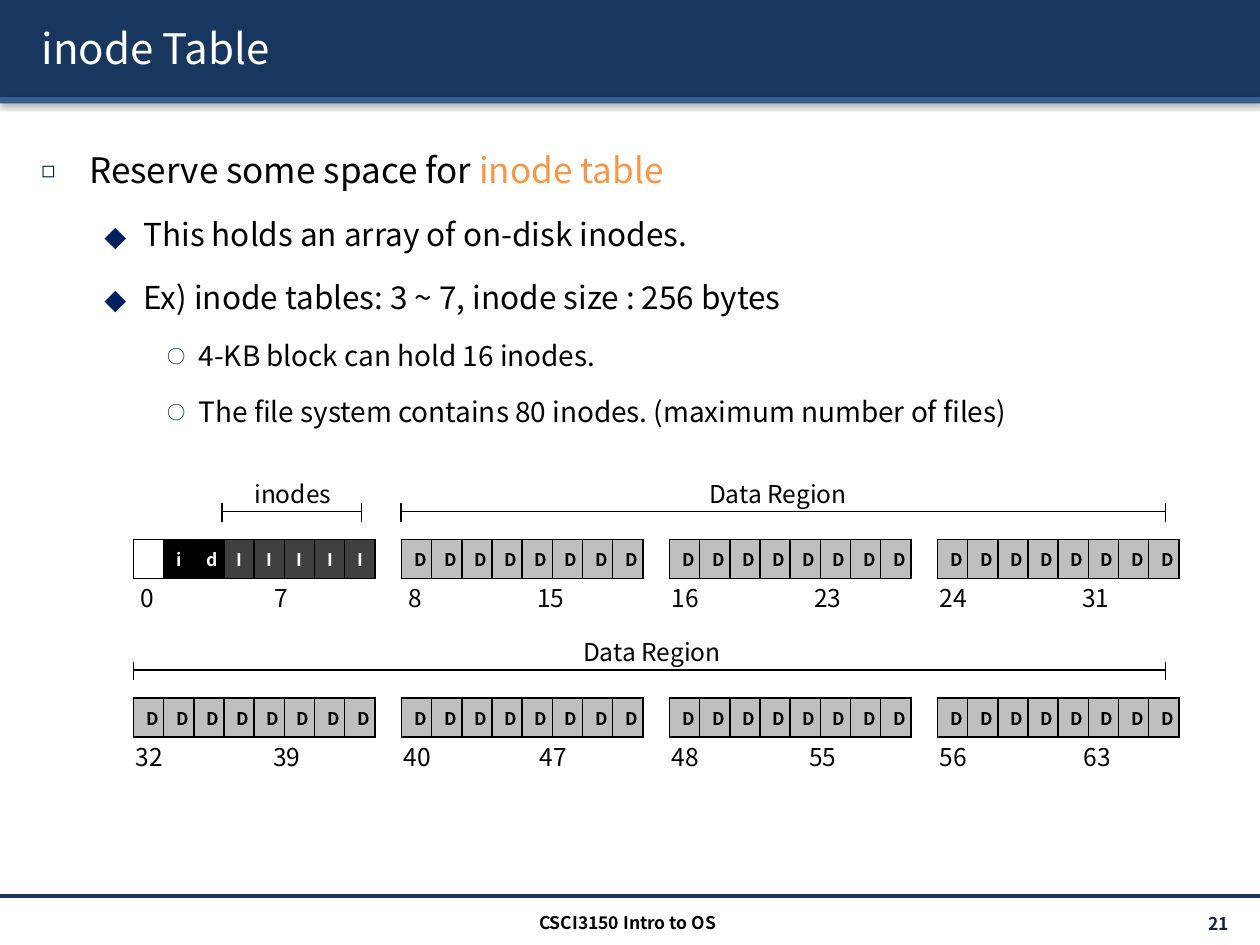
from lxml import etree
from pptx import Presentation
from pptx.dml.color import RGBColor
from pptx.enum.shapes import MSO_CONNECTOR, MSO_SHAPE
from pptx.enum.text import MSO_ANCHOR, PP_ALIGN
from pptx.oxml import parse_xml
from pptx.oxml.ns import nsdecls, qn
from pptx.util import Inches, Pt

LEFT, CENTER, RIGHT = PP_ALIGN.LEFT, PP_ALIGN.CENTER, PP_ALIGN.RIGHT
MIDDLE = MSO_ANCHOR.MIDDLE
RECTANGLE = MSO_SHAPE.RECTANGLE
STRAIGHT = MSO_CONNECTOR.STRAIGHT

THEME = {
    "font": "Noto Sans CJK KR",
    "navy": "17375E", "blue": "376092", "bullet": "002060", "number": "0F243E",
    "black": "000000", "white": "FFFFFF", "orange": "F79646",
    "inode": "404040", "data": "BFBFBF",
    "title": 24, "levels": (20, 18, 16), "label": 14, "small": 10,
}
SHADOW = (
    f'<a:effectLst {nsdecls("a")}><a:outerShdw blurRad="39370" dist="20320" dir="5400000" '
    'rotWithShape="0"><a:srgbClr val="000000"><a:alpha val="{alpha}"/></a:srgbClr>'
    '</a:outerShdw></a:effectLst>'
)

deck = Presentation()
deck.slide_width, deck.slide_height = Inches(10), Inches(7.5)
COLUMN, ROW = deck.slide_width / 100, deck.slide_height / 75
page = deck.slides.add_slide(deck.slide_layouts[5])
shapes = page.shapes


def place(x, y, right, down):
    return round(x * COLUMN), round(y * ROW), round(right * COLUMN), round(down * ROW)


def write(para, text, size, color, bold=False):
    span = para.add_run()
    span.text = text
    span.font.size = Pt(size)
    span.font.bold = bold
    span.font.color.rgb = RGBColor.from_string(THEME[color])
    span.font.name = THEME["font"]
    for script in ("a:ea", "a:cs"):
        etree.SubElement(span.font._element, qn(script), typeface=THEME["font"])
    return span


for top, height, color in ((0, 7.7, "navy"), (7.7, 0.5, "blue")):
    band = shapes.add_shape(RECTANGLE, *place(0, top, 100, height))
    band.fill.solid()
    band.fill.fore_color.rgb = RGBColor.from_string(THEME[color])
    band.line.fill.background()
    band._element.spPr.append(parse_xml(SHADOW.format(alpha=38000)))

title = shapes.title
title.left, title.top, title.width, title.height = place(2.3, 0.6, 96.1, 6.4)
title.text_frame.vertical_anchor = MIDDLE
para = title.text_frame.paragraphs[0]
para.alignment = LEFT
span = write(para, "inode Table", THEME["title"], "white")
span.font._element.find(qn("a:solidFill")).addnext(parse_xml(SHADOW.format(alpha=100000)))
shapes._spTree.append(title._element)

body = shapes.add_textbox(*place(2.3, 9.6, 96.1, 60.2)).text_frame
body.word_wrap = True
bullets = (("◻", 65, 0.38, 0.38), ("⬥", 100, 0.81, 0.31), ("○", 65, 1.25, 0.25))
points = (
    (0, (("Reserve some space for ", "black"), ("inode table", "orange"))),
    (1, (("This holds an array of on-disk inodes.", "black"),)),
    (1, (("Ex) inode tables: 3 ~ 7, inode size : 256 bytes", "black"),)),
    (2, (("4-KB block can hold 16 inodes.", "black"),)),
    (2, (("The file system contains 80 inodes. (maximum number of files)", "black"),)),
)
for index, (level, parts) in enumerate(points):
    para = body.add_paragraph() if index else body.paragraphs[0]
    size = THEME["levels"][level]
    mark, scale, margin, hang = bullets[level]
    para.level = level
    para.line_spacing = 1.5
    para.space_before = Pt(0.2 * size if index else 0)
    settings = para._p.get_or_add_pPr()
    settings.set("marL", str(Inches(margin)))
    settings.set("indent", str(-Inches(hang)))
    tint = etree.SubElement(settings, qn("a:buClr"))
    etree.SubElement(tint, qn("a:srgbClr"), val=THEME["bullet"])
    etree.SubElement(settings, qn("a:buSzPct"), val=str(scale * 1000))
    etree.SubElement(settings, qn("a:buFont"), typeface=THEME["font"])
    etree.SubElement(settings, qn("a:buChar"), char=mark)
    for text, color in parts:
        write(para, text, size, color)

GROUP, BLOCKS, GROUPS = 18.2, 8, 4
GROUP_LEFT, GROUP_STEP, GROUP_HEIGHT = 10.6, 21.27, 3.1
group_rows = ((42.8, (10.6, 10.2, 11.3, 11.3)), (55.4, (10.9, 10.8, 10.9, 11.4)))
first_blocks = (
    [("", "white", "white"), ("i", "black", "white"), ("d", "black", "white")]
    + [("I", "inode", "white")] * 5
)
data_blocks = [("D", "data", "black")] * BLOCKS

captions = [
    (19.2, 37.5, 8.4, 3.4, "inodes", "label", "black", LEFT, None),
    (55.3, 37.5, 13.6, 3.4, "Data Region", "label", "black", LEFT, None),
    (45.3, 50.1, 13.6, 3.4, "Data Region", "label", "black", LEFT, None),
    (33.2, 72, 33.2, 2.4, "CSCI3150 Intro to OS", "small", "black", CENTER, None),
    (87.1, 72.1, 11.4, 2.4, "21", "small", "number", RIGHT, None),
]

for row_index, (top, tabs) in enumerate(group_rows):
    for column_index, tab in enumerate(tabs):
        left = GROUP_LEFT + column_index * GROUP_STEP
        group = row_index * GROUPS + column_index
        start = group * BLOCKS
        table = shapes.add_table(1, BLOCKS, *place(left, top, GROUP, GROUP_HEIGHT)).table
        table.first_row = table.horz_banding = False
        for cell, (letter, fill, ink) in zip(table.iter_cells(), data_blocks if group else first_blocks):
            cell.fill.solid()
            cell.fill.fore_color.rgb = RGBColor.from_string(THEME[fill])
            cell.vertical_anchor = MIDDLE
            para = cell.text_frame.paragraphs[0]
            para.alignment = CENTER
            if letter:
                write(para, letter, THEME["small"], ink, True)
            else:
                etree.SubElement(para._p, qn("a:endParaRPr"), sz=str(THEME["small"] * 100))
            for position, side in enumerate(("lnL", "lnR", "lnT", "lnB")):
                cell._tc.tcPr.insert(position, parse_xml(
                    f'<a:{side} {nsdecls("a")} w="{Pt(1)}"><a:solidFill>'
                    f'<a:srgbClr val="{THEME["black"]}"/></a:solidFill></a:{side}>'))
        shift = 0.4 if start < 10 else 0.8
        captions.append((left - shift, top + GROUP_HEIGHT - 0.1, 20.3, 3.4,
                         f"{start}\t{start + BLOCKS - 1}", "label", "black", LEFT, tab))

lines = [(0, 71.1, 100, 71.1, "navy", 2)]
for left, right, top in ((17.6, 28.7, 39.9), (31.8, 92.5, 39.9), (10.6, 92.5, 52.5)):
    lines.append((left, top + 0.7, right, top + 0.7, "black", 1))
    for end in (left, right):
        lines.append((end, top, end, top + 1.5, "black", 1))
for *ends, color, width in lines:
    line = shapes.add_connector(STRAIGHT, *place(*ends))
    line.line.color.rgb = RGBColor.from_string(THEME[color])
    line.line.width = Pt(width)
    etree.SubElement(line._element.spPr, qn("a:effectLst"))

for x, y, width, height, text, size, color, align, tab in captions:
    box = shapes.add_textbox(*place(x, y, width, height))
    box.text_frame.word_wrap = True
    if size == "small":
        box.text_frame.vertical_anchor = MIDDLE
    para = box.text_frame.paragraphs[0]
    para.alignment = align
    if tab:
        stops = etree.SubElement(para._p.get_or_add_pPr(), qn("a:tabLst"))
        etree.SubElement(stops, qn("a:tab"), pos=str(round(tab * COLUMN)), algn="l")
    write(para, text, THEME[size], color, size == "small")

deck.save("out.pptx")
